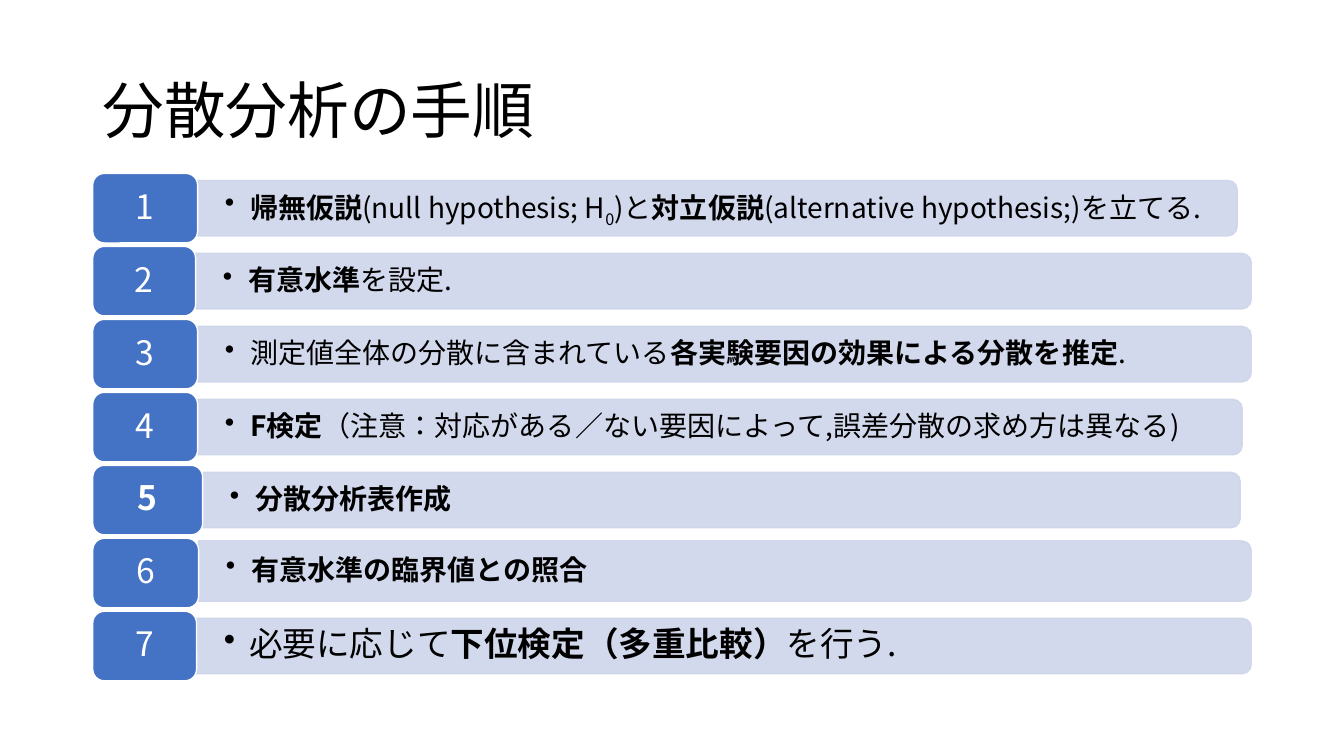
from lxml.etree import SubElement
from pptx import Presentation
from pptx.dml.color import RGBColor
from pptx.enum.lang import MSO_LANGUAGE_ID as LANG
from pptx.enum.shapes import MSO_SHAPE as SHAPE
from pptx.enum.text import MSO_ANCHOR as ANCHOR, PP_ALIGN as ALIGN
from pptx.oxml.ns import qn
from pptx.util import Pt

PX = 9144  # EMU, 100 px to the inch
FONT = "Noto Sans CJK JP"
LEFT, TOP, STEP, HIGH = 92, 172, 72.4, 69

# badge width, bar end, bar height, bar shift, text size, bold badge, runs;
# a run is (text, style): "b" bold, "s" subscript
STEPS = [
    (104, 1227, 55, 0, 20, False,
     [("帰無仮説", "b"), ("(null hypothesis; H", ""), ("0", "s"), (")と", ""),
      ("対立仮説", "b"), ("(alternative hypothesis;)を立てる.", "")]),
    (102, 1241, 55, 0, 20, False, [("有意水準", "b"), ("を設定.", "")]),
    (104, 1241, 55, 0, 20, False,
     [("測定値全体の分散に含まれている", ""),
      ("各実験要因の効果による分散を推定", "b"), (".", "")]),
    (104, 1232, 55, 0, 20, False,
     [("F検定", "b"),
      ("（注意：対応がある／ない要因によって,誤差分散の求め方は異なる)", "")]),
    (109, 1230, 55, 0, 20, True, [("分散分析表作成", "b")]),
    (105, 1241, 60, -2, 20, False, [("有意水準の臨界値との照合", "b")]),
    (103, 1241, 55, 0, 24, False,
     [("必要に応じて", ""), ("下位検定（多重比較）", "b"), ("を行う.", "")]),
]


def px(*nums):
    return [round(n * PX) for n in nums]


def color(code):
    return RGBColor.from_string(code)


def style(run, size, code, bold=False):
    font = run.font
    font.size, font.bold, font.name = Pt(size), bold, FONT
    font.color.rgb = color(code)
    font.language_id = LANG.JAPANESE
    SubElement(font._element, qn("a:ea")).set("typeface", FONT)


def add_box(slide, spot, pad_x=10, pad_y=5):
    """Add a wrapping, middle-anchored text box and return its paragraph."""
    frame = slide.shapes.add_textbox(*px(*spot)).text_frame
    frame.word_wrap = True
    frame.vertical_anchor = ANCHOR.MIDDLE
    frame.margin_left = frame.margin_right = pad_x * PX
    frame.margin_top = frame.margin_bottom = pad_y * PX
    para = frame.paragraphs[0]
    para.line_spacing = 0.9
    return para


def add_form(slide, kind, spot, fill, line):
    form = slide.shapes.add_shape(kind, *px(*spot))
    form.shadow.inherit = False
    form.fill.solid()
    form.fill.fore_color.rgb = color(fill)
    form.line.color.rgb = color(line)
    form.line.width = Pt(1)
    return form


def add_title(slide, text):
    para = add_box(slide, (92, 40, 1150, 145))
    para.text = text
    style(para.runs[0], 44, "000000")


def add_bar(slide, left, end, mid, high):
    """Add a bar whose right corners are round, by a quarter turn."""
    wide = end - left
    spot = ((left + end - high) / 2, mid - wide / 2, high, wide)
    bar = add_form(slide, SHAPE.ROUND_2_SAME_RECTANGLE, spot,
                   "CFD5EA", "CFD5EA")
    bar.rotation = 90
    for tint in bar._element.spPr.iter(qn("a:srgbClr")):
        SubElement(tint, qn("a:alpha")).set("val", "90000")


def add_bullet(slide, spot, parts, size):
    para = add_box(slide, spot, 27, 14)
    props = para._p.get_or_add_pPr()
    props.set("marL", str(25 * PX))
    props.set("indent", str(-25 * PX))
    SubElement(props, qn("a:buChar")).set("char", "•")
    for text, mark in parts:
        run = para.add_run()
        run.text = text
        style(run, size, "000000", mark == "b")
        if mark == "s":
            run.font._element.set("baseline", "-25000")


def add_badge(slide, spot, text, bold):
    badge = add_form(slide, SHAPE.ROUNDED_RECTANGLE, spot, "4472C4", "FFFFFF")
    frame = badge.text_frame
    frame.text = text
    frame.vertical_anchor = ANCHOR.MIDDLE
    para = frame.paragraphs[0]
    para.alignment = ALIGN.CENTER
    para.line_spacing = 0.9
    style(para.runs[0], 24, "FFFFFF", bold)


def main():
    deck = Presentation()
    deck.slide_width, deck.slide_height = px(1333, 750)
    slide = deck.slides.add_slide(deck.slide_layouts[6])
    add_title(slide, "分散分析の手順")
    for i, (wide, end, high, shift, size, bold, parts) in enumerate(STEPS):
        top = TOP + STEP * i
        mid = top + HIGH / 2 + shift
        left = LEFT + wide
        add_bar(slide, left, end, mid, high)
        add_bullet(slide, (left, mid - 25, end - left - 3, 50), parts, size)
        add_badge(slide, (LEFT, top, wide, HIGH), str(i + 1), bold)
    deck.save("out.pptx")


if __name__ == "__main__":
    main()
